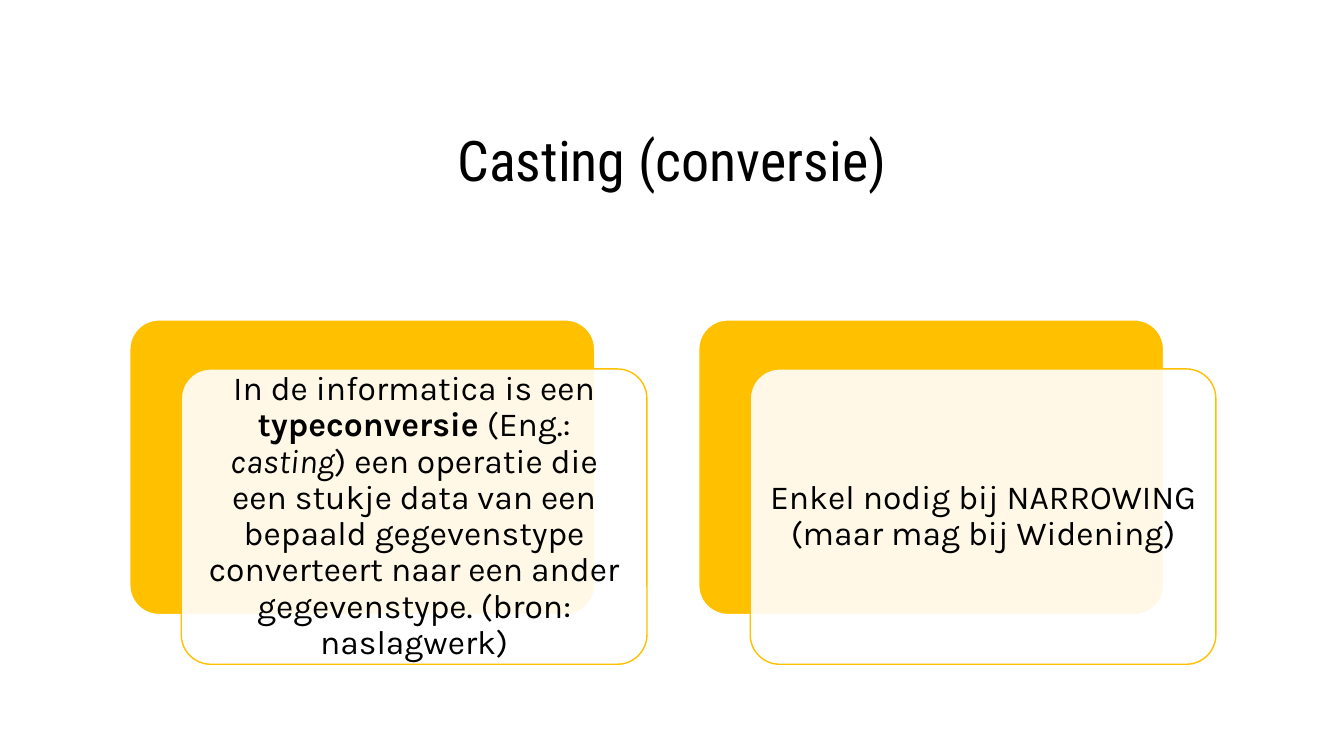
from lxml.etree import SubElement
from pptx import Presentation
from pptx.dml.color import RGBColor
from pptx.enum.shapes import MSO_SHAPE
from pptx.enum.text import MSO_ANCHOR, PP_ALIGN
from pptx.oxml.ns import qn
from pptx.util import Inches, Pt

COLORS = {"gold": "FFC000", "white": "FFFFFF", "black": "000000"}
HEAD, BODY = "Roboto Condensed", "Karla"


class Deck:
    def __init__(self):
        self.prs = Presentation()
        self.prs.slide_width = Inches(13.33)
        self.prs.slide_height = Inches(7.5)
        self.slide = self.prs.slides.add_slide(self.prs.slide_layouts[6])

    def color(self, name):
        return RGBColor.from_string(COLORS[name])

    def place(self, box):
        x, y, w, h = box
        wide, high = self.prs.slide_width, self.prs.slide_height
        return [round(part * size / 100)
                for part, size in ((x, wide), (y, high), (w, wide), (h, high))]

    def panel(self, box, fill, line, width, alpha=100):
        shape = self.slide.shapes.add_shape(
            MSO_SHAPE.ROUNDED_RECTANGLE, *self.place(box))
        shape.adjustments[0] = 0.1
        shape.shadow.inherit = False
        shape.fill.solid()
        shape.fill.fore_color.rgb = self.color(fill)
        shape.line.color.rgb = self.color(line)
        shape.line.width = Pt(width)
        if alpha < 100:
            tint = shape.fill._xPr.find(qn("a:solidFill"))[0]
            SubElement(tint, qn("a:alpha")).set("val", str(alpha * 1000))

    def text(self, box, parts, font, size, inset):
        frame = self.slide.shapes.add_textbox(*self.place(box)).text_frame
        frame.word_wrap = True
        frame.vertical_anchor = MSO_ANCHOR.MIDDLE
        frame.margin_left = frame.margin_right = Inches(0.1)
        frame.margin_top = frame.margin_bottom = Inches(inset)
        para = frame.paragraphs[0]
        para.alignment = PP_ALIGN.CENTER
        para.line_spacing = 0.9
        for words, style in parts:
            run = para.add_run()
            run.text = words
            run.font.name = font
            run.font.size = Pt(size)
            run.font.bold = style == "bold"
            run.font.italic = style == "italic"
            run.font.color.rgb = self.color("black")

    def card(self, x, y, parts):
        w, h = 34.65, 39.07
        left, top = x + 3.86, y + 6.53
        self.panel((x, y, w, h), "gold", "white", 1.5)
        self.panel((left, top, w, h), "white", "gold", 1, 90)
        self.text((left + 0.65, top + 1.15, w - 1.3, h - 2.3),
                  parts, BODY, 24, 0.1)


def main():
    deck = Deck()
    deck.text((9.67, 12, 80.65, 19.33),
              [("Casting (conversie)", "")], HEAD, 40, 0.05)
    cards = [
        [("In de informatica is een ", ""),
         ("typeconversie", "bold"),
         (" (Eng.: ", ""),
         ("casting", "italic"),
         (") een operatie die een stukje data van een bepaald gegevenstype "
          "converteert naar een ander gegevenstype. (bron: naslagwerk)", "")],
        [("Enkel nodig bij NARROWING (maar mag bij Widening)", "")],
    ]
    for col, parts in enumerate(cards):
        deck.card(9.63 + col * 42.33, 42.27, parts)
    deck.prs.save("out.pptx")


if __name__ == "__main__":
    main()
